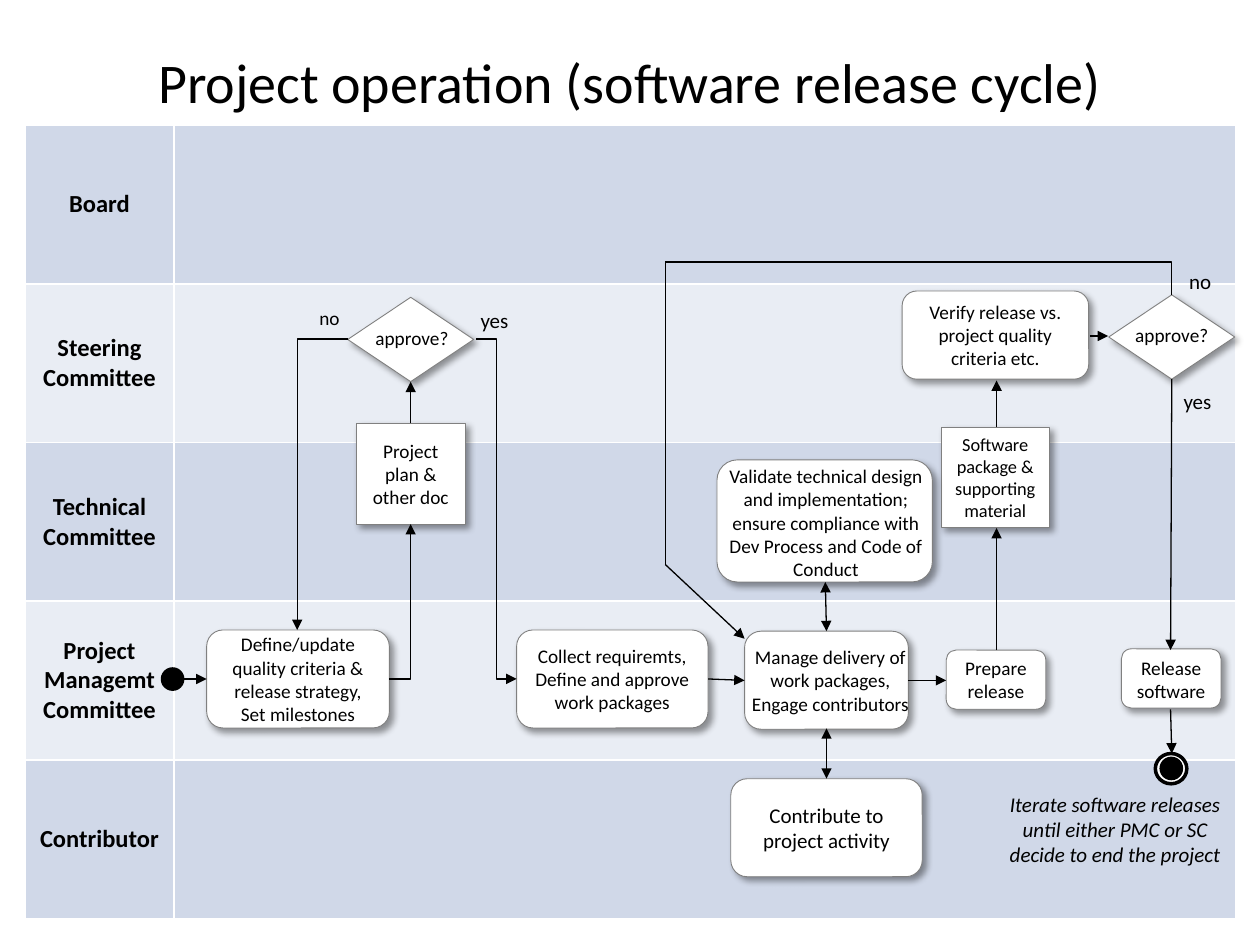
from lxml import etree
from pptx import Presentation
from pptx.dml.color import RGBColor
from pptx.enum.shapes import MSO_CONNECTOR, MSO_SHAPE
from pptx.enum.text import MSO_ANCHOR, PP_ALIGN
from pptx.oxml.ns import qn
from pptx.util import Pt

STRAIGHT, ELBOW = MSO_CONNECTOR.STRAIGHT, MSO_CONNECTOR.ELBOW
ROUNDED = MSO_SHAPE.FLOWCHART_ALTERNATE_PROCESS
DOCUMENT = MSO_SHAPE.FLOWCHART_PROCESS
DECISION = MSO_SHAPE.FLOWCHART_DECISION
CIRCLE = MSO_SHAPE.FLOWCHART_CONNECTOR
TOP, MIDDLE = MSO_ANCHOR.TOP, MSO_ANCHOR.MIDDLE
CENTER = PP_ALIGN.CENTER
TITLE_ONLY = 5
FONT = "Calibri"
COLORS = {"black": "000000", "white": "FFFFFF", "outline": "808080",
          "dark_lane": "D0D8E8", "light_lane": "E9EDF4"}


def rgb(name):
    return RGBColor.from_string(COLORS[name])


def add_child(parent, tag, **attributes):
    child = etree.SubElement(parent, qn(tag))
    for key, value in attributes.items():
        child.set(key, str(value))
    return child


class Swimlanes:
    def __init__(self, slide):
        self.slide = slide

    def set_text(self, frame, text, size, anchor=MIDDLE, bold=False, italic=False):
        frame.word_wrap = True
        frame.vertical_anchor = anchor
        frame.text = text
        for paragraph in frame.paragraphs:
            paragraph.alignment = CENTER
            for run in paragraph.runs:
                font = run.font
                font.name, font.size = FONT, Pt(size)
                font.bold, font.italic = bold, italic
                font.color.rgb = rgb("black")

    def title(self, text, box):
        title = self.slide.shapes.title
        title.left, title.top, title.width, title.height = map(Pt, box)
        self.set_text(title.text_frame, text, 32)

    def lanes(self, names, left, top, widths, row_height):
        frame = self.slide.shapes.add_table(
            len(names), len(widths), Pt(left), Pt(top),
            Pt(sum(widths)), Pt(row_height * len(names)))
        table = frame.table
        table.first_row = table.horz_banding = False
        for column, width in zip(table.columns, widths):
            column.width = Pt(width)
        for index, (row, name) in enumerate(zip(table.rows, names)):
            row.height = Pt(row_height)
            self.set_text(row.cells[0].text_frame, name, 14, bold=True)
            for cell in row.cells:
                properties = cell._tc.get_or_add_tcPr()
                for side in ("a:lnL", "a:lnR", "a:lnT", "a:lnB"):
                    border = add_child(properties, side, w=Pt(1))
                    fill = add_child(border, "a:solidFill")
                    add_child(fill, "a:srgbClr", val=COLORS["white"])
                cell.fill.solid()
                cell.fill.fore_color.rgb = rgb("light_lane" if index % 2 else "dark_lane")
                cell.vertical_anchor = MIDDLE

    def shape(self, kind, box, fill, line, weight):
        shape = self.slide.shapes.add_shape(kind, *map(Pt, box))
        shape.shadow.inherit = False
        shape.fill.solid()
        shape.fill.fore_color.rgb = rgb(fill)
        shape.line.color.rgb = rgb(line)
        shape.line.width = Pt(weight)
        return shape

    def node(self, kind, box, text="", size=11):
        shape = self.shape(kind, box, "white", "outline", 0.5)
        effects = shape._element.spPr.find(qn("a:effectLst"))
        shadow = add_child(effects, "a:outerShdw", blurRad=Pt(4), dist=Pt(3),
                           dir=45 * 60000, algn="tl", rotWithShape=0)
        color = add_child(shadow, "a:srgbClr", val=COLORS["black"])
        add_child(color, "a:alpha", val=40000)
        if text:
            self.set_text(shape.text_frame, text, size)

    def circle(self, box, fill):
        self.shape(CIRCLE, box, fill, "black", 2)

    def label(self, box, text, size=11, anchor=TOP, italic=False):
        textbox = self.slide.shapes.add_textbox(*map(Pt, box))
        self.set_text(textbox.text_frame, text, size, anchor, italic=italic)

    def connector(self, points, kind=STRAIGHT, preset=None, head=False, tail=True):
        connector = self.slide.shapes.add_connector(kind, *map(Pt, points))
        connector.line.color.rgb = rgb("black")
        connector.line.width = Pt(0.75)
        properties = connector._element.spPr
        if preset:
            properties.find(qn("a:prstGeom")).set("prst", preset)
        line = properties.find(qn("a:ln"))
        for wanted, tag in ((head, "a:headEnd"), (tail, "a:tailEnd")):
            if wanted:
                add_child(line, tag, type="triangle")
        add_child(properties, "a:effectLst")


presentation = Presentation()
presentation.slide_width, presentation.slide_height = Pt(720), Pt(540)
slide = presentation.slides.add_slide(presentation.slide_layouts[TITLE_ONLY])
chart = Swimlanes(slide)

# Title and lanes
chart.title("Project operation (software release cycle)", (36, 21.6, 648, 49.7))
chart.lanes(["Board", "Steering Committee", "Technical Committee",
             "Project Managemt Committee", "Contributor"],
            14.4, 71.5, (85, 607), 90.7)

# Activities, documents and decisions
for node in [
    (DOCUMENT, (203.8, 241.9, 61.9, 57.6), "Project plan & other doc"),
    (DOCUMENT, (537.8, 244.1, 61.9, 57.6), "Software package & supporting material", 10.5),
    (ROUNDED, (118.1, 360, 104.4, 56),
     "Define/update quality criteria & release strategy,\nSet milestones"),
    (ROUNDED, (295.2, 360, 109.4, 56),
     "Collect requiremts,\nDefine and approve work packages"),
    (ROUNDED, (425.5, 360.7, 93.6, 56)),
    (ROUNDED, (409.7, 262.8, 123.1, 69.8)),
    (ROUNDED, (417.6, 445, 109.4, 56), "Contribute to project activity", 12),
    (ROUNDED, (540.7, 371.5, 56.9, 33.8), "Prepare release"),
    (ROUNDED, (515.5, 166.3, 106.6, 50.4), "Verify release vs. project quality criteria etc."),
    (ROUNDED, (640.8, 370.8, 56.9, 33.8)),
    (DECISION, (198.7, 169.9, 72, 48.2)),
    (DECISION, (633.6, 168.5, 72, 48.2)),
]:
    chart.node(*node)

# Start and end markers
chart.circle((92.9, 382.3, 11.5, 11.5), "black")
chart.circle((660.2, 430.6, 18, 17.3), "white")
chart.circle((663.6, 433.4, 11.5, 11.5), "black")

# Straight arrows
for points in [
    (104.4, 388, 118.1, 388), (404.6, 388, 425.5, 388.8),
    (519.1, 388.8, 540.7, 388.8), (622.8, 192, 633.2, 192),
    (234.7, 241.9, 234.7, 218.2), (569.5, 371.5, 569.5, 301.7),
    (569.5, 244.1, 569.5, 217.4), (669.6, 216.7, 668.9, 371.5),
    (668.9, 405.4, 669.6, 430.6), (380.2, 322.6, 425.5, 365),
]:
    chart.connector(points)
for points in [(472.3, 416.2, 472.3, 445), (471.6, 332.6, 472.3, 360.7)]:
    chart.connector(points, head=True)

# Bent arrows and the return line
one_bend = "bentConnector2"
chart.connector((222.5, 388, 234.7, 299.5), ELBOW, one_bend)
chart.connector((198.7, 193.7, 169.9, 360), ELBOW, one_bend)
chart.connector((272.2, 193.7, 295.2, 388), ELBOW)
chart.connector((380.2, 149.8, 669.6, 168.5), ELBOW, one_bend, tail=False)
chart.connector((380.2, 149.8, 380.2, 322.6), tail=False)

# Labels
for label in [
    ((198.7, 182.9, 73.4, 20.9), "approve?"),
    ((632.9, 181.4, 73.4, 20.9), "approve?"),
    ((171.4, 171.4, 33.8, 20.9), "no"),
    ((265.7, 172.1, 33.8, 21.6), "yes", 12),
    ((668.9, 149.8, 33.8, 21.6), "no", 12),
    ((667.4, 218.2, 33.8, 21.6), "yes", 12),
    ((417.6, 365, 113.8, 47.5),
     "Manage delivery of work packages, Engage contributors", 11, MIDDLE),
    ((406.1, 261.4, 131.8, 74.2),
     "Validate technical design and implementation; ensure compliance with "
     "Dev Process and Code of Conduct", 11, MIDDLE),
    ((637.2, 371.5, 64.1, 33.8), "Release software", 11, MIDDLE),
    ((567.4, 448.6, 139.7, 51.1),
     "Iterate software releases until either PMC or SC decide to end the project",
     12, TOP, True),
]:
    chart.label(*label)

presentation.save("out.pptx")
